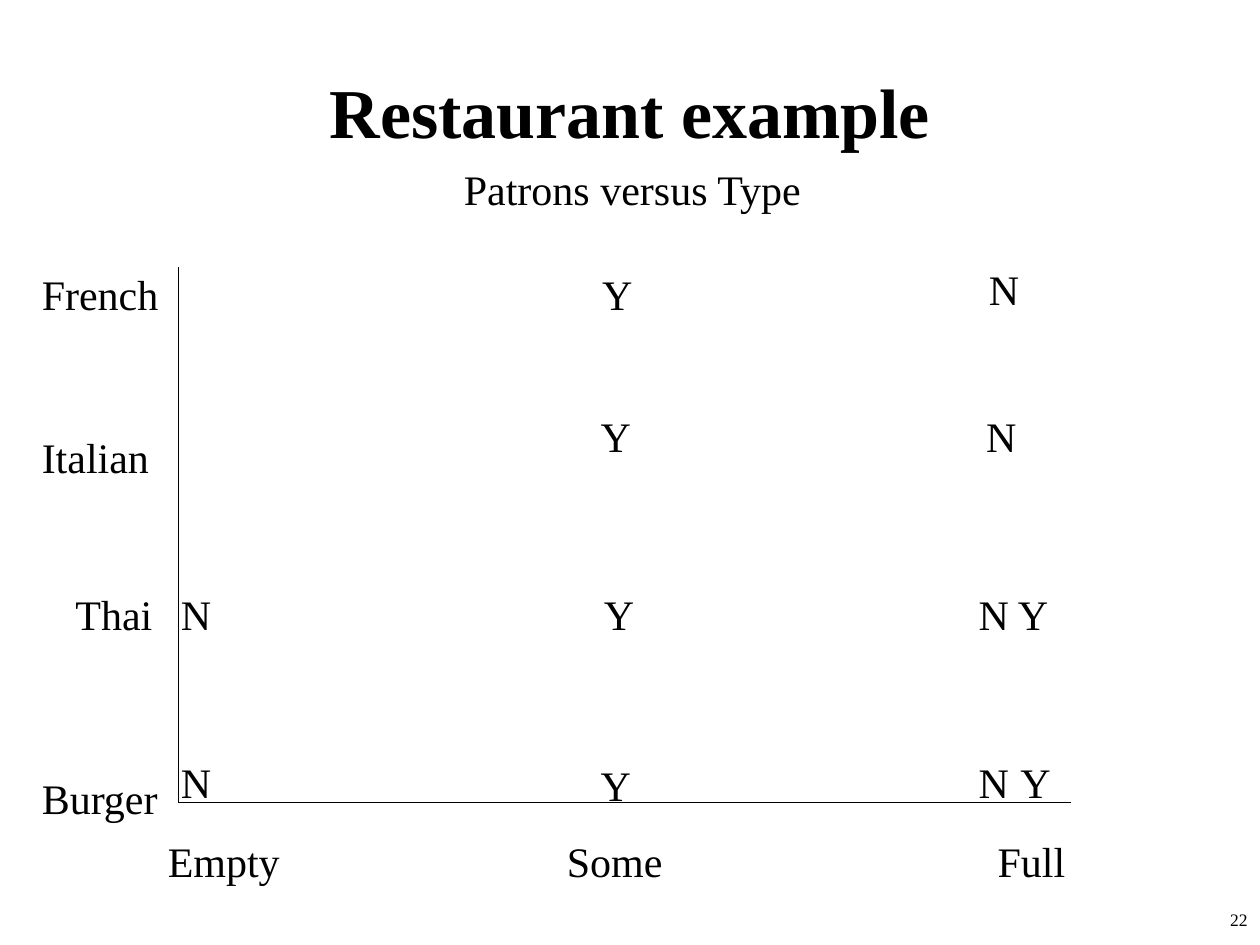
from lxml import etree
from pptx import Presentation
from pptx.dml.color import RGBColor
from pptx.enum import shapes, text
from pptx.oxml import ns
from pptx.util import Pt

BLACK = "000000"


def write(frame, words, size, align=text.PP_ALIGN.LEFT, bold=False):
    """Add the words to the frame's first paragraph as one formatted run."""
    paragraph = frame.paragraphs[0]
    paragraph.alignment = align
    run = paragraph.add_run()
    run.text = words
    run.font.name = "Times New Roman"
    run.font.size = Pt(size)
    run.font.bold = bold
    run.font.color.rgb = RGBColor.from_string(BLACK)


def add_label(words, left, top, width):
    """Add a one-line 24 pt text box that fits its words."""
    box = slide.shapes.add_textbox(Pt(left), Pt(top), Pt(width), Pt(36))
    box.text_frame.word_wrap = False
    box.text_frame.auto_size = text.MSO_AUTO_SIZE.SHAPE_TO_FIT_TEXT
    write(box.text_frame, words, 24)


prs = Presentation()
prs.slide_width, prs.slide_height = Pt(720), Pt(540)
slide = prs.slides.add_slide(prs.slide_layouts[5])

title = slide.shapes.title
title.left, title.top, title.width, title.height = Pt(54), Pt(18), Pt(612), Pt(90)
title.text_frame.vertical_anchor = text.MSO_ANCHOR.MIDDLE
write(title.text_frame, "Restaurant example", 40, text.PP_ALIGN.CENTER, True)
add_label("Patrons versus Type", 258, 90, 209)

# Axes share the origin at the lower left
origin_x, origin_y = 102.2, 458.6
for end_x, end_y in [(origin_x, 152.6), (612, origin_y)]:
    axis = slide.shapes.add_connector(
        shapes.MSO_CONNECTOR.STRAIGHT,
        Pt(origin_x), Pt(origin_y), Pt(end_x), Pt(end_y))
    axis.line.color.rgb = RGBColor.from_string(BLACK)
    axis.line.width = Pt(0.75)
    etree.SubElement(axis.element.spPr, ns.qn("a:effectLst"))

# Restaurant types up the vertical axis
for name, left, top, width in [
    ("French", 16.8, 149.8, 83),
    ("Italian", 16.8, 243, 78),
    ("Thai", 36, 332.6, 60),
    ("Burger", 16.8, 437.8, 83),
]:
    add_label(name, left, top, width)

# Patrons along the horizontal axis
for name, left, width in [("Empty", 88.8, 80), ("Some", 316.8, 71),
                          ("Full", 563, 55)]:
    add_label(name, left, 473.8, width)

# Outcomes: left and top of every mark
outcomes = {
    "Y": [(337, 149.8), (336.2, 230.8), (338, 332.6), (336.2, 430.2),
          (574.6, 332.6), (576, 428.8)],
    "N": [(558, 146.9), (556.4, 230.8), (552.2, 332.6), (552.2, 428.8),
          (96.3, 332.6), (96.3, 428.8)],
}
for answer, places in outcomes.items():
    for left, top in places:
        add_label(answer, left, top, 32)

page_number = slide.shapes.add_textbox(Pt(570.2), Pt(516.2), Pt(149.8), Pt(23.8))
page_number.text_frame.word_wrap = True
write(page_number.text_frame, "22", 10, text.PP_ALIGN.RIGHT)

prs.save("out.pptx")
